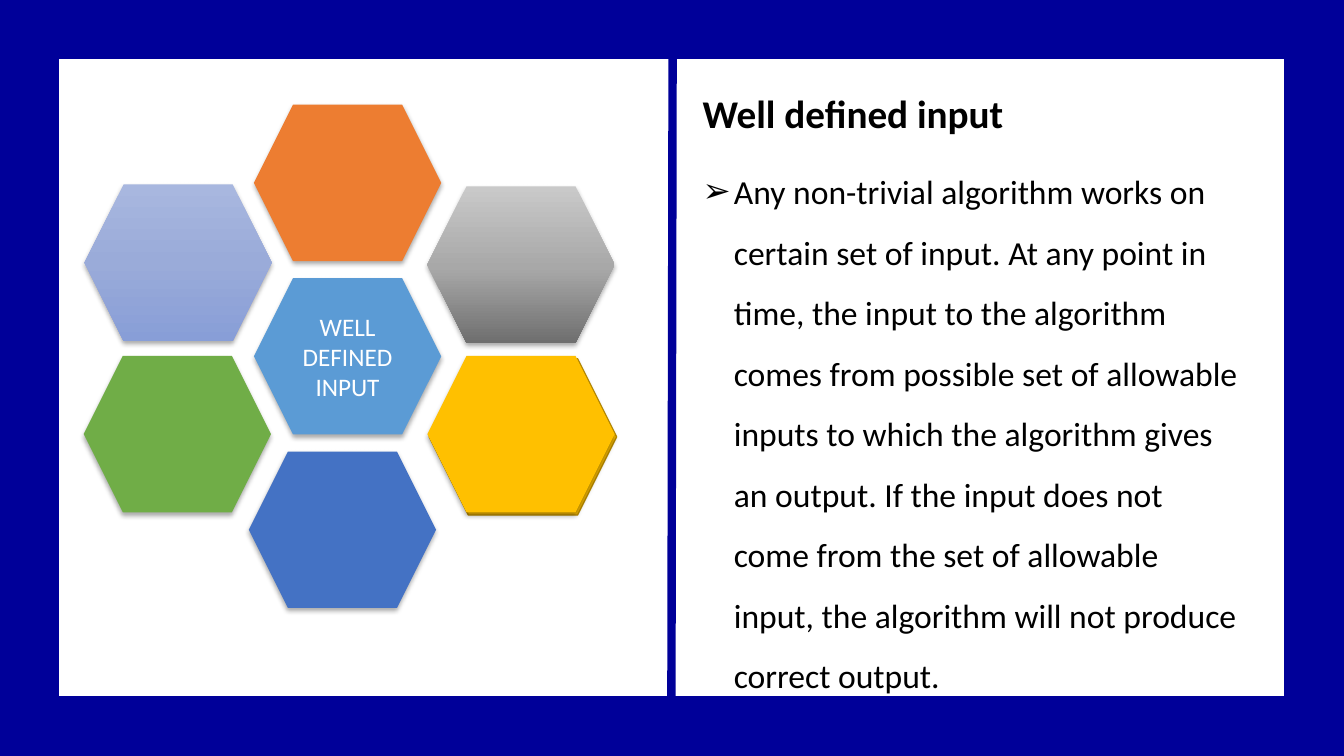
"""Build a slide on well defined input: a honeycomb of hexagons beside a title and one bullet."""
from dataclasses import dataclass

from lxml.etree import SubElement
from pptx import Presentation
from pptx.dml.color import RGBColor
from pptx.enum.shapes import MSO_CONNECTOR, MSO_SHAPE
from pptx.enum.text import MSO_ANCHOR, MSO_AUTO_SIZE, PP_ALIGN
from pptx.oxml.ns import qn
from pptx.util import Cm, Pt


@dataclass(frozen=True)
class Theme:
    font: str = "Calibri"
    title_size: int = 28
    body_size: int = 24
    label_size: int = 18
    navy: str = "000099"
    black: str = "000000"
    white: str = "FFFFFF"
    orange: str = "ED7D31"
    light_blue: str = "5B9BD5"
    blue: str = "4472C4"
    green: str = "70AD47"
    gold: str = "FFC000"
    dark_gold: str = "BD8E00"
    gray_fade: tuple = ((0, "C9C9C9"), (52, "A8A8A8"), (100, "6F6F6F"))
    lilac_fade: tuple = ((0, "A8B7DF"), (50, "9AABD9"), (100, "889ED7"))


theme = Theme()


def write(shape, text, size, color, bold=False, align=PP_ALIGN.LEFT,
          anchor=MSO_ANCHOR.TOP, wrap=True, fit=MSO_AUTO_SIZE.NONE, spacing=1.0):
    frame = shape.text_frame
    frame.word_wrap = wrap
    frame.auto_size = fit
    frame.vertical_anchor = anchor
    paragraph = frame.paragraphs[0]
    paragraph.alignment = align
    paragraph.line_spacing = spacing
    paragraph.space_before = Pt(0)
    run = paragraph.add_run()
    run.text = text
    run.font.name = theme.font
    run.font.size = Pt(size)
    run.font.bold = bold
    run.font.color.rgb = RGBColor.from_string(color)
    return paragraph


def add_hexagon(slide, left, top, fill, outline=None):
    shape = slide.shapes.add_shape(MSO_SHAPE.HEXAGON, Cm(left), Cm(top), Cm(4.72), Cm(3.94))
    properties = shape.element.spPr
    shape.shadow.inherit = False
    if isinstance(fill, str):
        shape.fill.solid()
        shape.fill.fore_color.rgb = RGBColor.from_string(fill)
    else:
        shape.fill.gradient()
        shape.fill.gradient_angle = 270
        stops = properties.find(".//" + qn("a:gsLst"))
        stops.clear()
        for position, color in fill:
            stop = SubElement(stops, qn("a:gs"), pos=str(position * 1000))
            SubElement(stop, qn("a:srgbClr"), val=color)
    if outline:
        shape.line.color.rgb = RGBColor.from_string(outline)
        shape.line.width = Pt(1)
    else:
        shape.line.fill.background()
        shadow = SubElement(properties.find(qn("a:effectLst")), qn("a:outerShdw"),
                            blurRad=str(Pt(3.5)), dist=str(Pt(2.2)),
                            dir="5400000", algn="ctr", rotWithShape="0")
        shade = SubElement(shadow, qn("a:srgbClr"), val=theme.black)
        SubElement(shade, qn("a:alpha"), val="32000")
    return shape


presentation = Presentation()
presentation.slide_width = Cm(33.87)
presentation.slide_height = Cm(19.05)
slide = presentation.slides.add_slide(presentation.slide_layouts[1])

border = slide.shapes.add_shape(MSO_SHAPE.RECTANGLE, 0, 0,
                                presentation.slide_width, presentation.slide_height)
border.shadow.inherit = False
border.fill.background()
divider = slide.shapes.add_connector(MSO_CONNECTOR.STRAIGHT,
                                     Cm(16.95), Cm(1.42), Cm(16.92), Cm(17.6))
SubElement(divider.element.spPr, qn("a:effectLst"))
for shape, width in ((border, 85), (divider, 6)):
    shape.line.color.rgb = RGBColor.from_string(theme.navy)
    shape.line.width = Pt(width)

title = slide.shapes.title
title.left, title.top, title.width, title.height = Cm(17.45), Cm(2.13), Cm(8.41), Cm(1.45)
write(title, "Well defined input", theme.title_size, theme.black, bold=True,
      wrap=False, fit=MSO_AUTO_SIZE.SHAPE_TO_FIT_TEXT)

body = slide.placeholders[1]
body.left, body.top, body.width, body.height = Cm(17.45), Cm(3.68), Cm(14.05), Cm(14.1)
paragraph = write(
    body,
    "Any non-trivial algorithm works on certain set of input. At any point in time, "
    "the input to the algorithm comes from possible set of allowable inputs to which "
    "the algorithm gives an output. If the input does not come from the set of "
    "allowable input, the algorithm will not produce correct output.",
    theme.body_size, theme.black, spacing=1.5, fit=MSO_AUTO_SIZE.SHAPE_TO_FIT_TEXT)
bullet_format = paragraph._p.get_or_add_pPr()
bullet_format.set("marL", str(Cm(0.79)))
bullet_format.set("indent", str(Cm(-0.79)))
SubElement(bullet_format, qn("a:buChar"), char="➢")

center = add_hexagon(slide, 6.4, 7.01, theme.light_blue)
write(center, "WELL DEFINED INPUT", theme.label_size, theme.white,
      align=PP_ALIGN.CENTER, anchor=MSO_ANCHOR.MIDDLE)

add_hexagon(slide, 10.82, 9.04, theme.gold, outline=theme.dark_gold)
for left, top, fill in (
    (6.4, 2.64, theme.orange),
    (10.77, 4.7, theme.gray_fade),
    (10.77, 8.97, theme.gold),
    (6.27, 11.38, theme.blue),
    (2.11, 8.97, theme.green),
    (2.13, 4.65, theme.lilac_fade),
):
    add_hexagon(slide, left, top, fill)

presentation.save("out.pptx")
